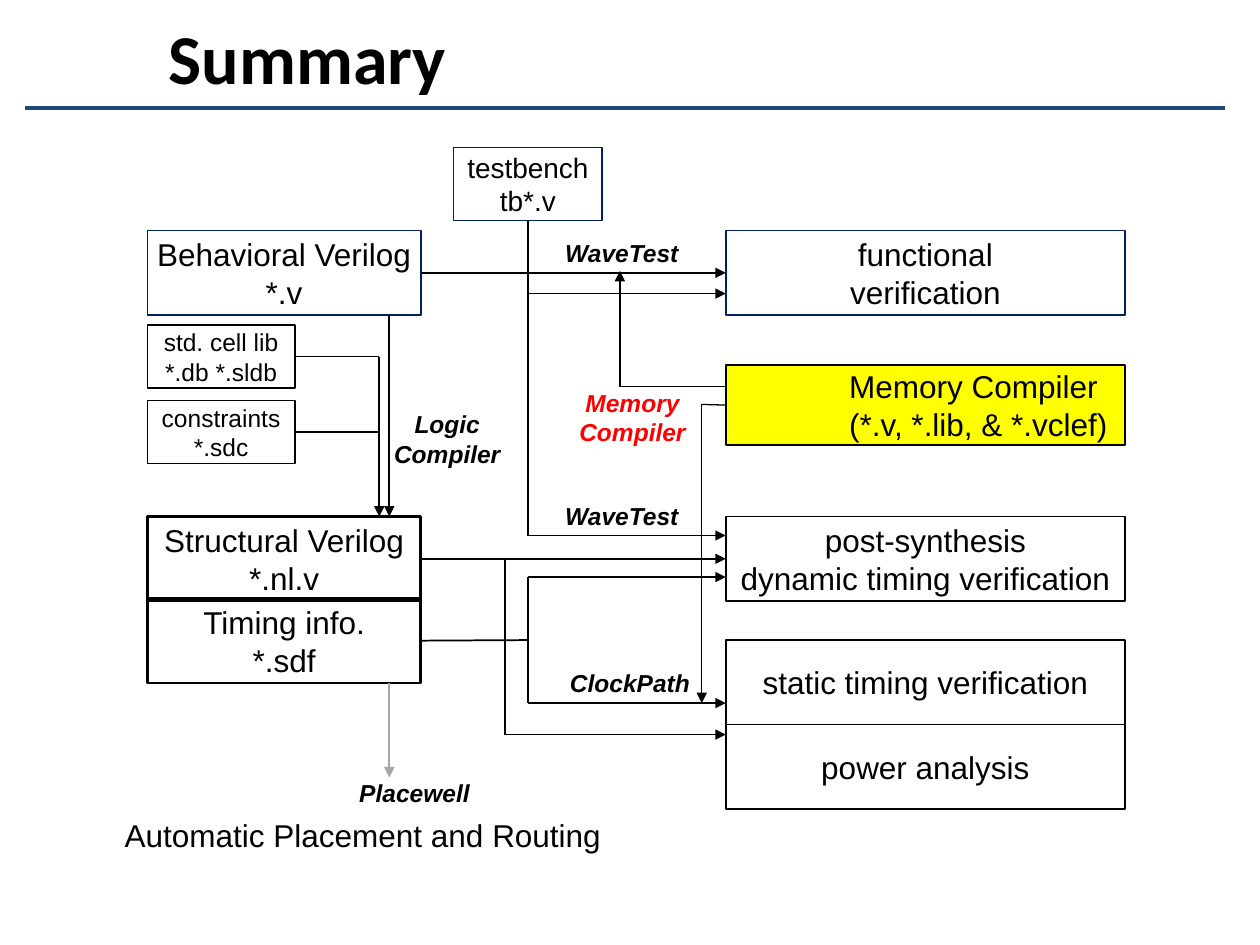
"""Builds the Summary slide of a chip design flow."""
from dataclasses import dataclass

import pptx
import pptx.dml.color
import pptx.enum.shapes
import pptx.enum.text
import pptx.oxml.ns
import pptx.util
from lxml import etree

Inches = pptx.util.Inches
Pt = pptx.util.Pt
Align = pptx.enum.text.PP_ALIGN
Anchor = pptx.enum.text.MSO_ANCHOR
BOTTOM, RIGHT, LEFT = 2, 3, 1


@dataclass(frozen=True)
class Theme:
    black: str = "000000"
    navy: str = "001F5F"
    rule: str = "1F497D"
    grey: str = "A6A6A6"
    red: str = "FF0000"
    yellow: str = "FFFF00"
    body_font: str = "Arial"
    title_font: str = "Calibri"
    title_size: int = 40
    large: int = 18
    medium: int = 16
    small: int = 14


THEME = Theme()


@dataclass(frozen=True)
class Block:
    name: str
    place: tuple[float, float, float, float]
    lines: tuple[str, ...]
    size: int = THEME.large
    line: str = THEME.black
    weight: float = 1
    fill: str | None = None
    indent: float | None = None


@dataclass(frozen=True)
class Caption:
    place: tuple[float, float, float, float]
    lines: tuple[str, ...]
    color: str = THEME.black
    size: int = THEME.small
    strong: bool = True


@dataclass(frozen=True)
class Wire:
    points: tuple[tuple[float, float], ...]
    start: tuple[str, int] | None = None
    end: tuple[str, int] | None = None
    arrow: bool = True
    color: str = THEME.black
    weight: float = 1


SOURCE_X, SOURCE_W = 1.17, 2.17
RESULT_X, RESULT_W = 5.76, 3.17
ROW_H = 0.67
SOURCE_RIGHT = SOURCE_X + SOURCE_W
LIB_W, LIB_H = 1.17, 0.5
LIB_RIGHT = SOURCE_X + LIB_W
TEST_X, BRANCH_X, LIB_X, FLOW_X = 4.19, 4.01, 3.01, 3.09

BLOCKS = (
    Block("behavior", (SOURCE_X, 1.83, SOURCE_W, ROW_H), ("Behavioral Verilog", "*.v"), line=THEME.navy),
    Block("testbench", (3.6, 1.17, 1.18, 0.58), ("testbench", "tb*.v"), THEME.medium, THEME.navy),
    Block("functional", (RESULT_X, 1.83, RESULT_W, ROW_H), ("functional", "verification"), line=THEME.navy),
    Block("library", (SOURCE_X, 2.58, LIB_W, LIB_H), ("std. cell lib", "*.db *.sldb"), THEME.small),
    Block("constraints", (SOURCE_X, 3.18, LIB_W, LIB_H), ("constraints", "*.sdc"), THEME.small),
    Block("memory", (RESULT_X, 2.9, RESULT_W, 0.63), ("Memory Compiler", "(*.v, *.lib, & *.vclef)"),
          fill=THEME.yellow, indent=0.98),
    Block("structural", (SOURCE_X, 4.1, SOURCE_W, ROW_H), ("Structural Verilog", "*.nl.v"), weight=1.5),
    Block("timing", (SOURCE_X, 4.75, SOURCE_W, ROW_H), ("Timing info.", "*.sdf"), weight=1.5),
    Block("dynamic", (RESULT_X, 4.1, RESULT_W, ROW_H), ("post-synthesis", "dynamic timing verification")),
    Block("static", (RESULT_X, 5.08, RESULT_W, ROW_H), ("static timing verification",)),
    Block("power", (RESULT_X, 5.75, RESULT_W, ROW_H), ("power analysis",)),
)

CAPTIONS = (
    Caption((4.46, 1.88, 0.95, 0.25), ("WaveTest",)),
    Caption((4.46, 3.97, 0.95, 0.25), ("WaveTest",)),
    Caption((4.49, 5.29, 1.02, 0.25), ("ClockPath",)),
    Caption((3.1, 3.24, 0.9, 0.48), ("Logic", "Compiler")),
    Caption((4.46, 3.07, 1.12, 0.48), ("Memory", "Compiler"), THEME.red),
    Caption((2.78, 6.17, 1.02, 0.25), ("Placewell",)),
    Caption((0.88, 6.47, 4, 0.31), ("Automatic Placement and Routing",), size=THEME.large, strong=False),
)

WIRES = (
    Wire(((SOURCE_RIGHT, 2.17), (RESULT_X, 2.17)), ("behavior", RIGHT), ("functional", LEFT)),
    Wire(((TEST_X, 1.75), (TEST_X, 4.25), (RESULT_X, 4.25)), ("testbench", BOTTOM)),
    Wire(((TEST_X, 2.33), (RESULT_X, 2.33))),
    Wire(((LIB_RIGHT, 2.83), (LIB_X, 2.83), (LIB_X, 4.1)), ("library", RIGHT)),
    Wire(((LIB_RIGHT, 3.43), (LIB_X, 3.43)), ("constraints", RIGHT), arrow=False),
    Wire(((FLOW_X, 2.5), (FLOW_X, 4.1))),
    Wire(((SOURCE_RIGHT, 4.43), (RESULT_X, 4.43)), ("structural", RIGHT), ("dynamic", LEFT)),
    Wire(((BRANCH_X, 4.43), (BRANCH_X, 5.83), (RESULT_X, 5.83))),
    Wire(((SOURCE_RIGHT, 5.08), (TEST_X, 5.08)), ("timing", RIGHT), arrow=False),
    Wire(((TEST_X, 5.08), (TEST_X, 4.58), (RESULT_X, 4.58))),
    Wire(((TEST_X, 5.08), (TEST_X, 5.58), (RESULT_X, 5.58))),
    Wire(((FLOW_X, 5.42), (FLOW_X, 6.17)), color=THEME.grey),
    Wire(((RESULT_X, 3.07), (4.92, 3.07), (4.92, 2.15)), weight=0.75),
    Wire(((RESULT_X, 3.21), (5.57, 3.21), (5.57, 5.58)), ("memory", LEFT), weight=0.75),
    Wire(((0.2, 0.86), (9.72, 0.86)), arrow=False, color=THEME.rule, weight=2.25),
)


def rgb(value: str) -> pptx.dml.color.RGBColor:
    return pptx.dml.color.RGBColor.from_string(value)


def write(box, lines: tuple[str, ...], size: int, color: str = THEME.black, font: str = THEME.body_font,
          bold: bool = False, italic: bool = False, indent: float | None = None) -> None:
    frame = box.text_frame
    frame.word_wrap = True
    frame.auto_size = pptx.enum.text.MSO_AUTO_SIZE.NONE
    frame.vertical_anchor = Anchor.MIDDLE
    frame.margin_left = Inches(indent or 0)
    frame.margin_right = frame.margin_top = frame.margin_bottom = 0
    for index, line in enumerate(lines):
        para = frame.paragraphs[0] if index == 0 else frame.add_paragraph()
        para.alignment = Align.CENTER if indent is None else Align.LEFT
        span = para.add_run()
        span.text = line
        span.font.name, span.font.size = font, Pt(size)
        span.font.bold, span.font.italic = bold, italic
        span.font.color.rgb = rgb(color)


def draw_block(page, block: Block):
    box = page.shapes.add_shape(pptx.enum.shapes.MSO_SHAPE.RECTANGLE, *map(Inches, block.place))
    box.shadow.inherit = False
    if block.fill:
        box.fill.solid()
        box.fill.fore_color.rgb = rgb(block.fill)
    else:
        box.fill.background()
    box.line.color.rgb = rgb(block.line)
    box.line.width = Pt(block.weight)
    write(box, block.lines, block.size, indent=block.indent)
    return box


def draw_caption(page, caption: Caption) -> None:
    box = page.shapes.add_textbox(*map(Inches, caption.place))
    write(box, caption.lines, caption.size, caption.color, bold=caption.strong, italic=caption.strong)


def draw_wire(page, wire: Wire, boxes: dict) -> None:
    straight = pptx.enum.shapes.MSO_CONNECTOR.STRAIGHT
    last = len(wire.points) - 2
    for index, (begin, finish) in enumerate(zip(wire.points, wire.points[1:])):
        connector = page.shapes.add_connector(straight, *map(Inches, begin + finish))
        connector.line.color.rgb = rgb(wire.color)
        connector.line.width = Pt(wire.weight)
        properties = connector._element.spPr
        etree.SubElement(properties, pptx.oxml.ns.qn("a:effectLst"))
        if wire.start and index == 0:
            connector.begin_connect(boxes[wire.start[0]], wire.start[1])
        if wire.end and index == last:
            connector.end_connect(boxes[wire.end[0]], wire.end[1])
        if wire.arrow and index == last:
            etree.SubElement(connector.line._get_or_add_ln(), pptx.oxml.ns.qn("a:tailEnd"), type="triangle")


def main() -> None:
    deck = pptx.Presentation()
    deck.slide_width, deck.slide_height = Inches(10), Inches(7.5)
    page = deck.slides.add_slide(deck.slide_layouts[5])
    title = page.shapes.title
    title.left, title.top, title.width, title.height = map(Inches, (0.34, 0.11, 9.33, 0.67))
    write(title, ("Summary",), THEME.title_size, font=THEME.title_font, bold=True, indent=1)
    boxes = {block.name: draw_block(page, block) for block in BLOCKS}
    for wire in WIRES:
        draw_wire(page, wire, boxes)
    for caption in CAPTIONS:
        draw_caption(page, caption)
    deck.save("out.pptx")


if __name__ == "__main__":
    main()
